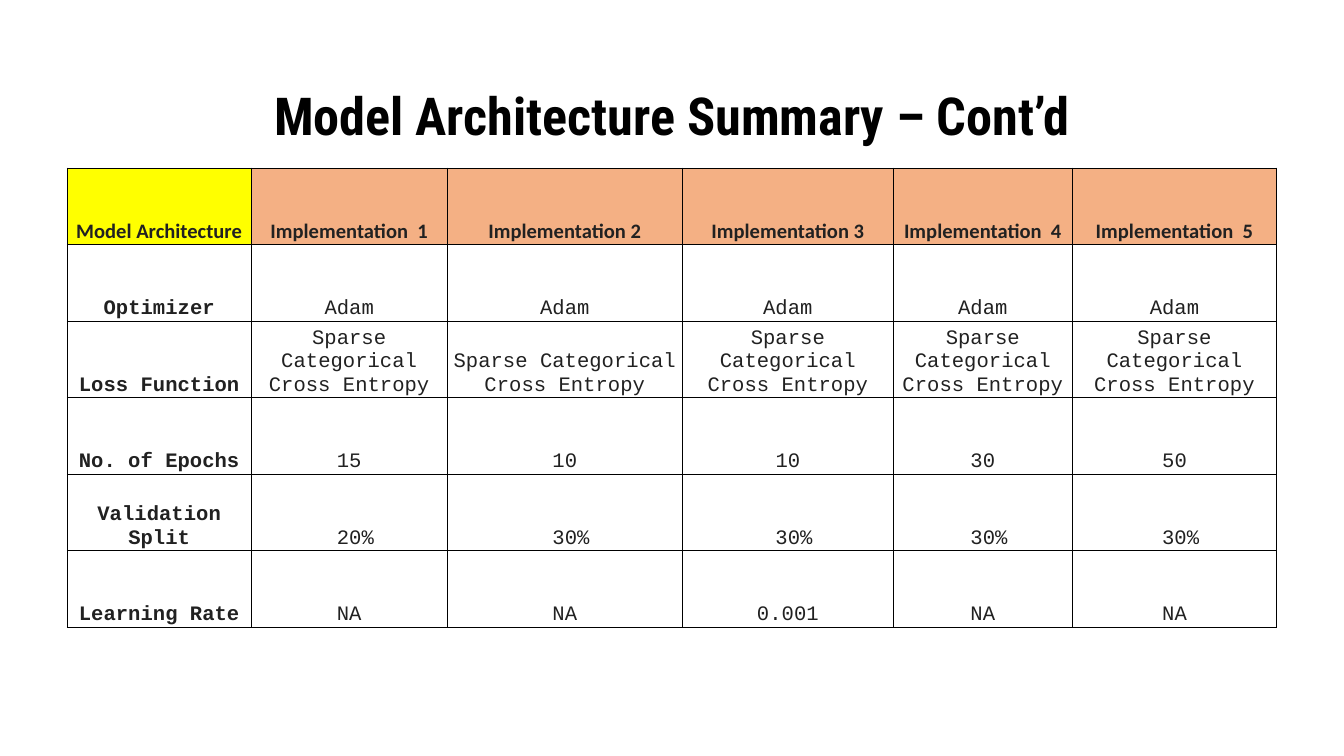
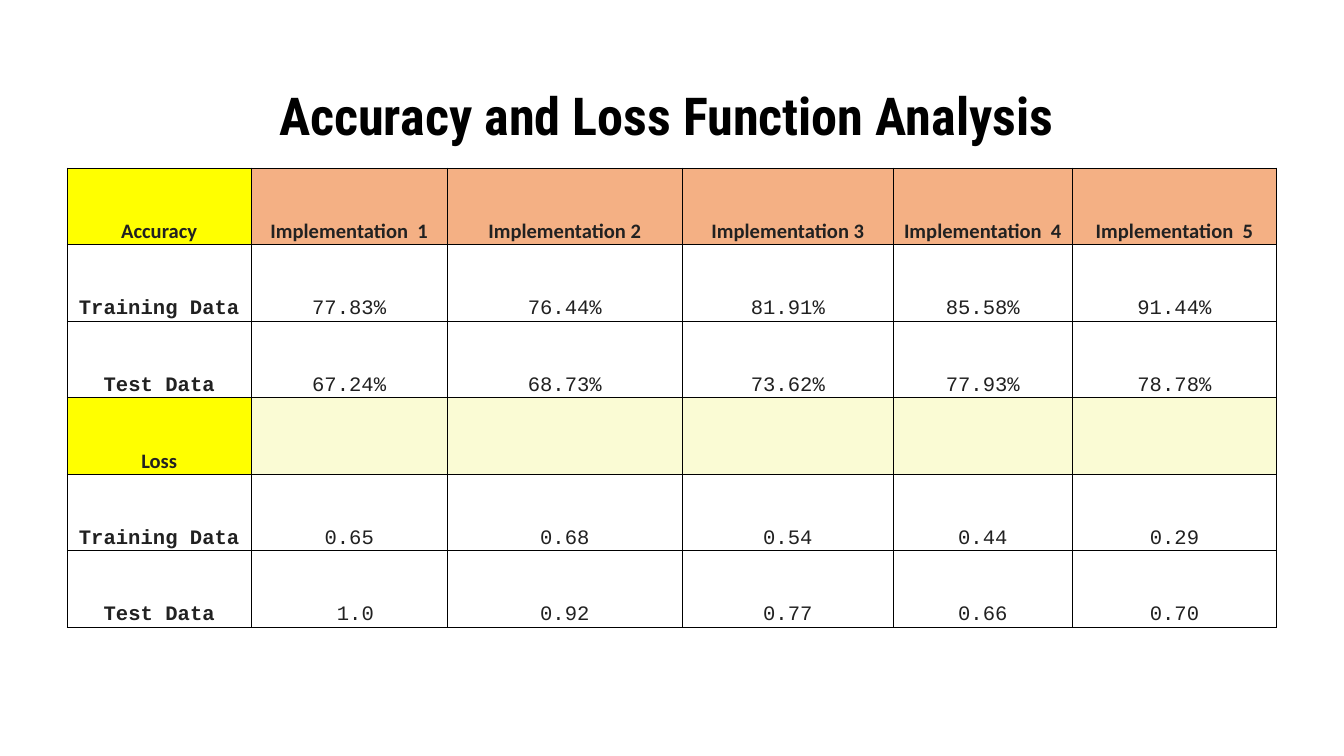
"""Build two slides of tables comparing five model implementations."""
from lxml.etree import SubElement
from pptx import Presentation
from pptx.dml.color import RGBColor
from pptx.enum.text import MSO_ANCHOR, MSO_AUTO_SIZE, PP_ALIGN
from pptx.oxml.ns import qn
from pptx.util import Pt

COLORS = {
    "title": "000000",
    "border": "000000",
    "text": "212121",
    "section": "FFFF00",
    "header": "F4B084",
    "divider": "FAFBD4",
}
COLUMN_WIDTHS = [98.6, 105, 126, 113, 95.9, 109.5]
ROW_HEIGHT = 41
IMPLEMENTATIONS = [
    "Implementation  1",
    "Implementation 2",
    "Implementation 3",
    "Implementation  4",
    "Implementation  5",
]
SECTIONS = ["Model Architecture", "Accuracy", "Loss"]
SLIDES = [
    ("Model Architecture Summary – Cont’d", [
        ["Model Architecture"] + IMPLEMENTATIONS,
        ["Optimizer"] + ["Adam"] * 5,
        ["Loss Function"] + ["Sparse Categorical Cross Entropy"] * 5,
        ["No. of Epochs", "15", "10", "10", "30", "50"],
        ["Validation Split", " 20%"] + [" 30%"] * 4,
        ["Learning Rate", "NA", "NA", "0.001", "NA", "NA"],
    ]),
    ("Accuracy and Loss Function Analysis ", [
        ["Accuracy"] + IMPLEMENTATIONS,
        ["Training Data", "77.83%", "76.44%", "81.91%", "85.58%", "91.44%"],
        ["Test Data", "67.24%", "68.73%", "73.62%", "77.93%", "78.78%"],
        ["Loss"] + [""] * 5,
        ["Training Data", "0.65", "0.68", "0.54", "0.44", "0.29"],
        ["Test Data", " 1.0", "0.92", "0.77", "0.66", "0.70"],
    ]),
]


def style_text(para, font_name, size, color, bold):
    para.alignment = PP_ALIGN.CENTER
    para.font.name = font_name
    para.font.size = Pt(size)
    para.font.bold = bold
    para.font.color.rgb = RGBColor.from_string(COLORS[color])


def add_borders(cell):
    properties = cell._tc.get_or_add_tcPr()
    for side in ("lnL", "lnR", "lnT", "lnB"):
        line = SubElement(properties, qn(f"a:{side}"), w=str(Pt(0.5)))
        fill = SubElement(line, qn("a:solidFill"))
        SubElement(fill, qn("a:srgbClr"), val=COLORS["border"])


deck = Presentation()
deck.slide_width = Pt(720)
deck.slide_height = Pt(405)

for heading, rows in SLIDES:
    page = deck.slides.add_slide(deck.slide_layouts[5])
    title = page.shapes.title
    title.left, title.top, title.width, title.height = Pt(36), Pt(32.4), Pt(648), Pt(58)
    frame = title.text_frame
    frame.text = heading
    frame.word_wrap = True
    frame.auto_size = MSO_AUTO_SIZE.NONE
    frame.vertical_anchor = MSO_ANCHOR.MIDDLE
    frame.margin_left = frame.margin_right = Pt(7.2)
    frame.margin_top = frame.margin_bottom = Pt(7.2)
    style_text(frame.paragraphs[0], "Roboto Condensed", 28, "title", True)

    table = page.shapes.add_table(
        len(rows), len(COLUMN_WIDTHS), Pt(36), Pt(90),
        Pt(sum(COLUMN_WIDTHS)), Pt(ROW_HEIGHT * len(rows)),
    ).table
    for column, width in zip(table.columns, COLUMN_WIDTHS):
        column.width = Pt(width)

    for row_index, values in enumerate(rows):
        table.rows[row_index].height = Pt(ROW_HEIGHT)
        is_section = values[0] in SECTIONS
        for column_index, value in enumerate(values):
            cell = table.cell(row_index, column_index)
            cell.text = value
            cell.vertical_anchor = MSO_ANCHOR.BOTTOM
            cell.margin_left = cell.margin_right = cell.margin_top = Pt(0.75)
            cell.margin_bottom = Pt(0)
            add_borders(cell)
            if is_section:
                band = "header" if row_index == 0 else "divider"
                fill_color = "section" if column_index == 0 else band
                cell.fill.solid()
                cell.fill.fore_color.rgb = RGBColor.from_string(COLORS[fill_color])
            else:
                cell.fill.background()
            font_name = "Calibri" if is_section else "Courier New"
            style_text(cell.text_frame.paragraphs[0], font_name, 11, "text",
                       is_section or column_index == 0)

deck.save("out.pptx")
